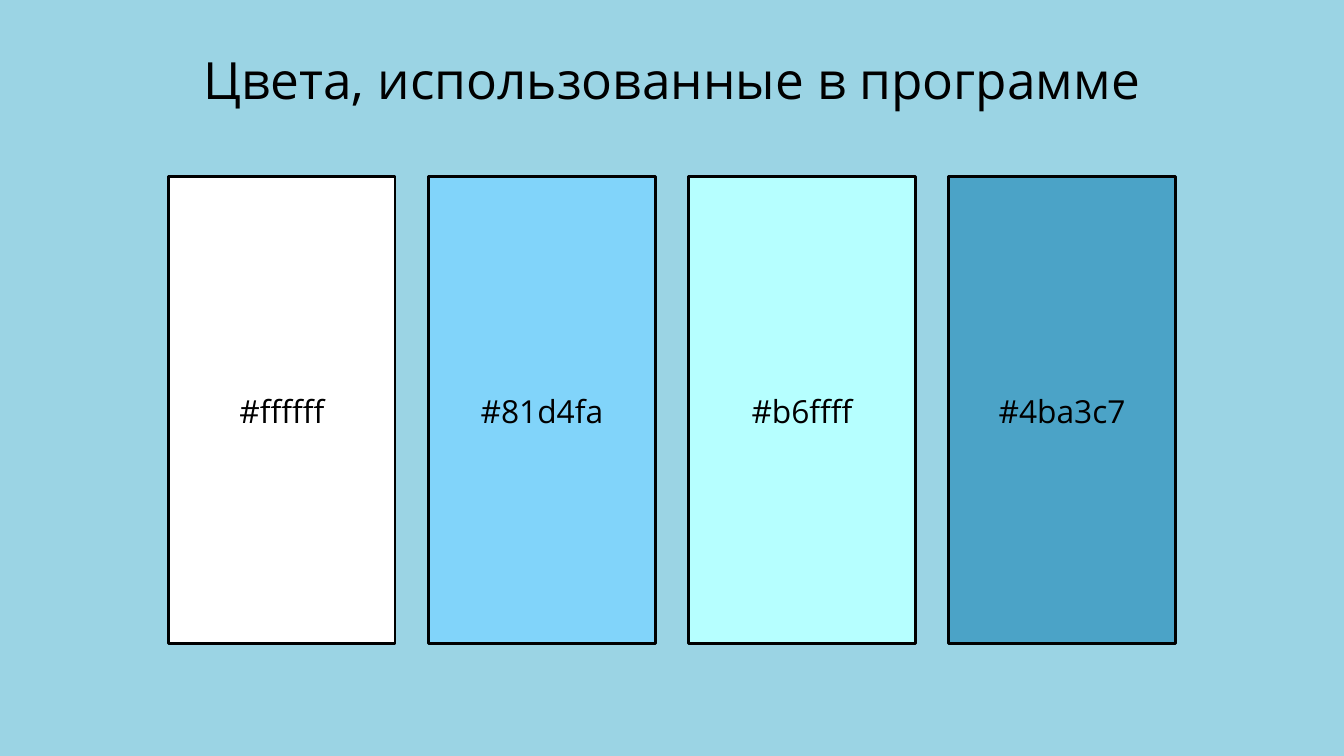
from dataclasses import dataclass

from pptx import Presentation
from pptx.dml.color import RGBColor
from pptx.enum.shapes import MSO_SHAPE
from pptx.enum.text import MSO_ANCHOR, MSO_AUTO_SIZE, PP_ALIGN
from pptx.slide import Slide
from pptx.text.text import TextFrame
from pptx.util import Inches, Pt

FONT = "Open Sans"
BLACK = RGBColor(0x00, 0x00, 0x00)
WHITE = RGBColor(0xFF, 0xFF, 0xFF)
SKY = RGBColor(0x81, 0xD4, 0xFA)
AQUA = RGBColor(0xB6, 0xFF, 0xFF)
STEEL = RGBColor(0x4B, 0xA3, 0xC7)
PALE = RGBColor(0x9B, 0xD4, 0xE4)

LEFT, TOP = 2.51, 2.63
WIDTH, HEIGHT = 3.37, 6.95
PITCH = 3.87


@dataclass(frozen=True)
class Swatch:
    label: str
    color: RGBColor


SWATCHES = [
    Swatch("#ffffff", WHITE),
    Swatch("#81d4fa", SKY),
    Swatch("#b6ffff", AQUA),
    Swatch("#4ba3c7", STEEL),
]


def set_text(frame: TextFrame, text: str, size: float, pitch: float) -> None:
    frame.text = text
    frame.word_wrap = True
    frame.auto_size = MSO_AUTO_SIZE.NONE
    frame.margin_left = frame.margin_right = 0
    frame.margin_top = frame.margin_bottom = 0
    line = frame.paragraphs[0]
    line.alignment = PP_ALIGN.CENTER
    line.line_spacing = Pt(pitch)
    line.space_before = Pt(0)
    font = line.runs[0].font
    font.name = FONT
    font.size = Pt(size)
    font.color.rgb = BLACK


def add_title(slide: Slide, text: str) -> None:
    title = slide.shapes.title
    title.left, title.top = Inches(2.26), Inches(0.57)
    title.width, title.height = Inches(15.48), Inches(1.01)
    set_text(title.text_frame, text, 55, 77)
    title.text_frame.vertical_anchor = MSO_ANCHOR.TOP


def add_swatch(slide: Slide, swatch: Swatch, left: float) -> None:
    card = slide.shapes.add_shape(
        MSO_SHAPE.RECTANGLE, Inches(left), Inches(TOP), Inches(WIDTH), Inches(HEIGHT)
    )
    card.shadow.inherit = False
    card.fill.solid()
    card.fill.fore_color.rgb = swatch.color
    card.line.color.rgb = BLACK
    card.line.width = Pt(3)
    set_text(card.text_frame, swatch.label, 34, 47.6)
    card.text_frame.margin_bottom = Inches(0.08)
    card.text_frame.vertical_anchor = MSO_ANCHOR.MIDDLE


def main() -> None:
    deck = Presentation()
    deck.slide_width, deck.slide_height = Inches(20), Inches(11.25)
    slide = deck.slides.add_slide(deck.slide_layouts.get_by_name("Title Only"))
    slide.background.fill.solid()
    slide.background.fill.fore_color.rgb = PALE
    add_title(slide, "Цвета, использованные в программе")
    for index, swatch in enumerate(SWATCHES):
        add_swatch(slide, swatch, LEFT + index * PITCH)
    deck.save("out.pptx")


if __name__ == "__main__":
    main()
